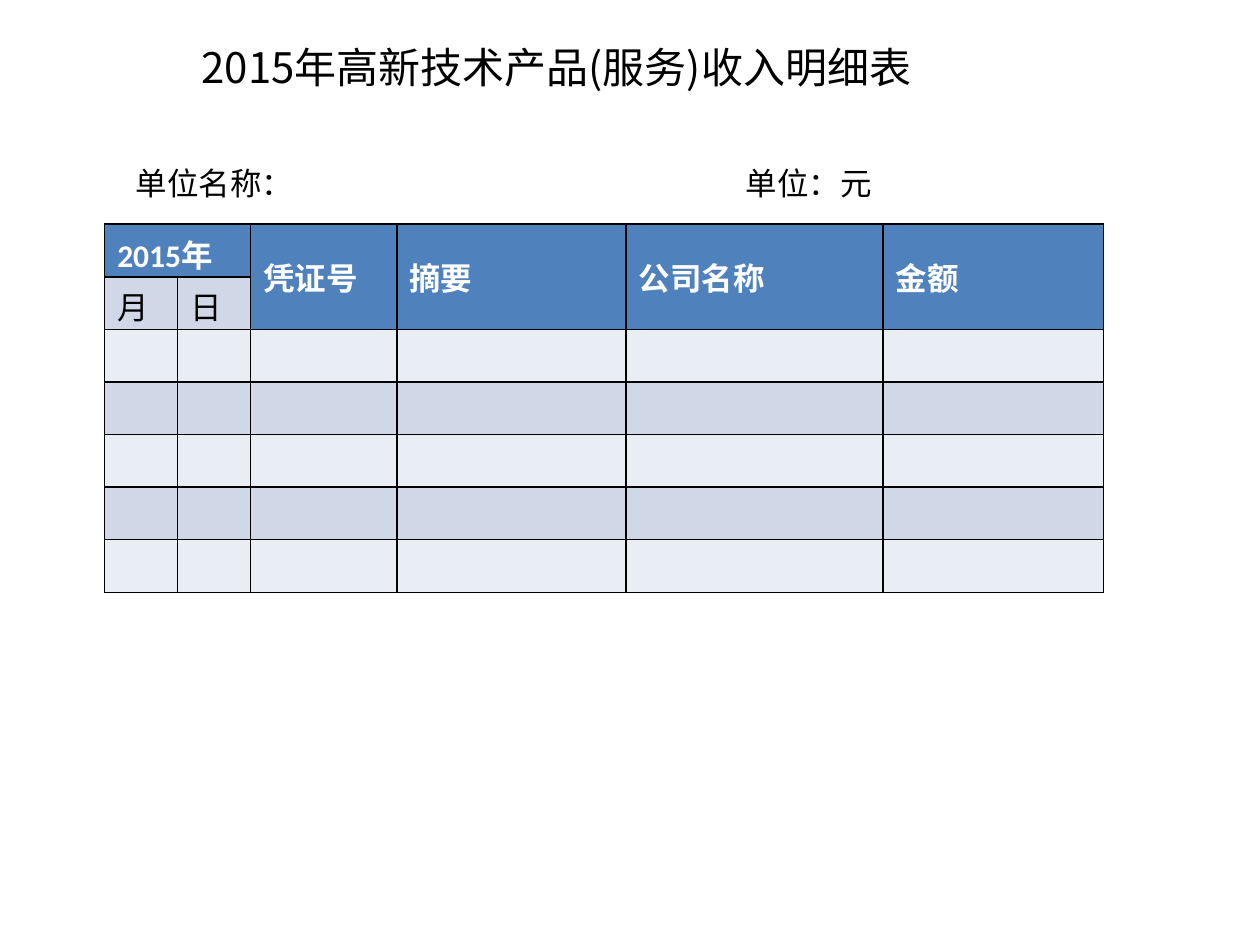
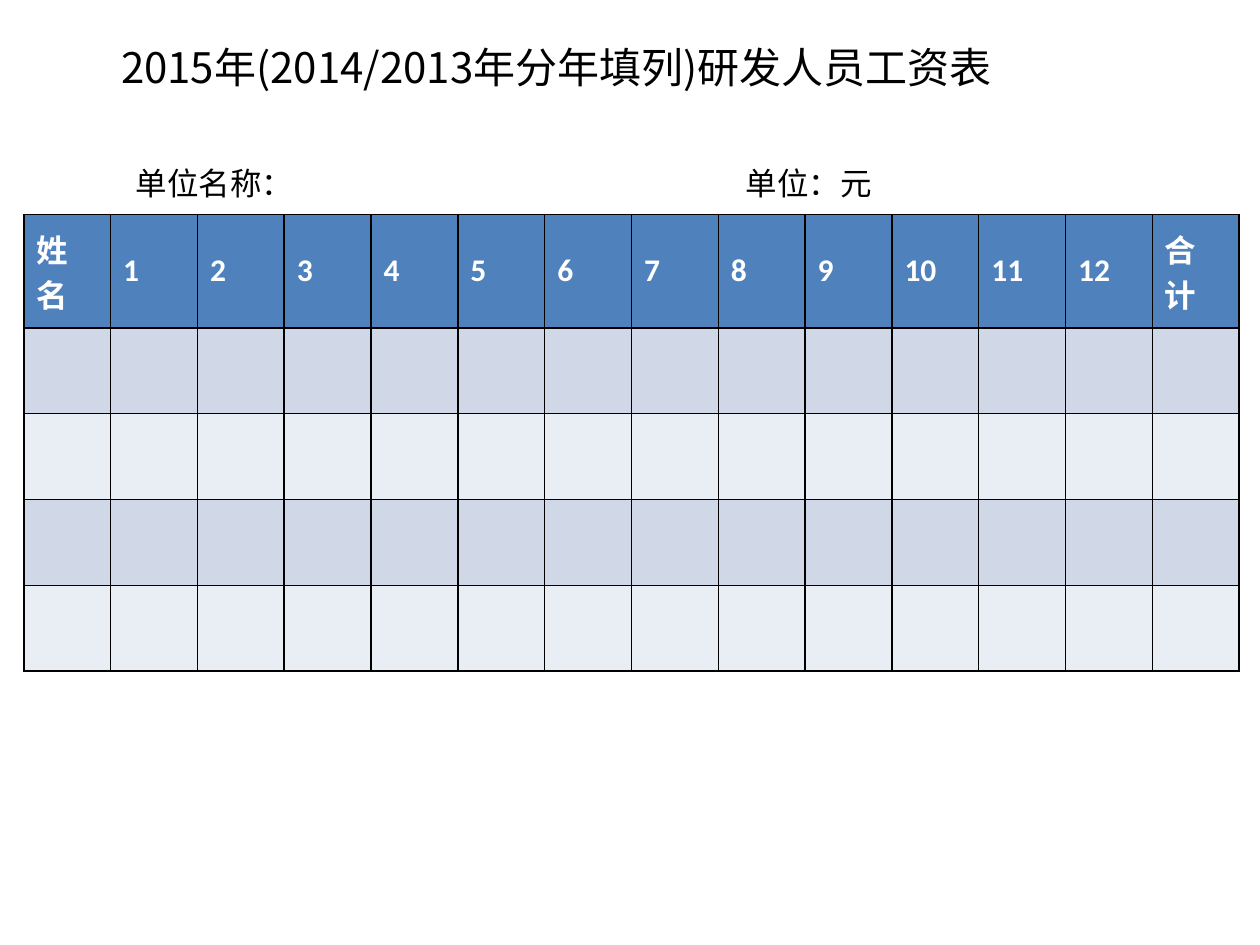
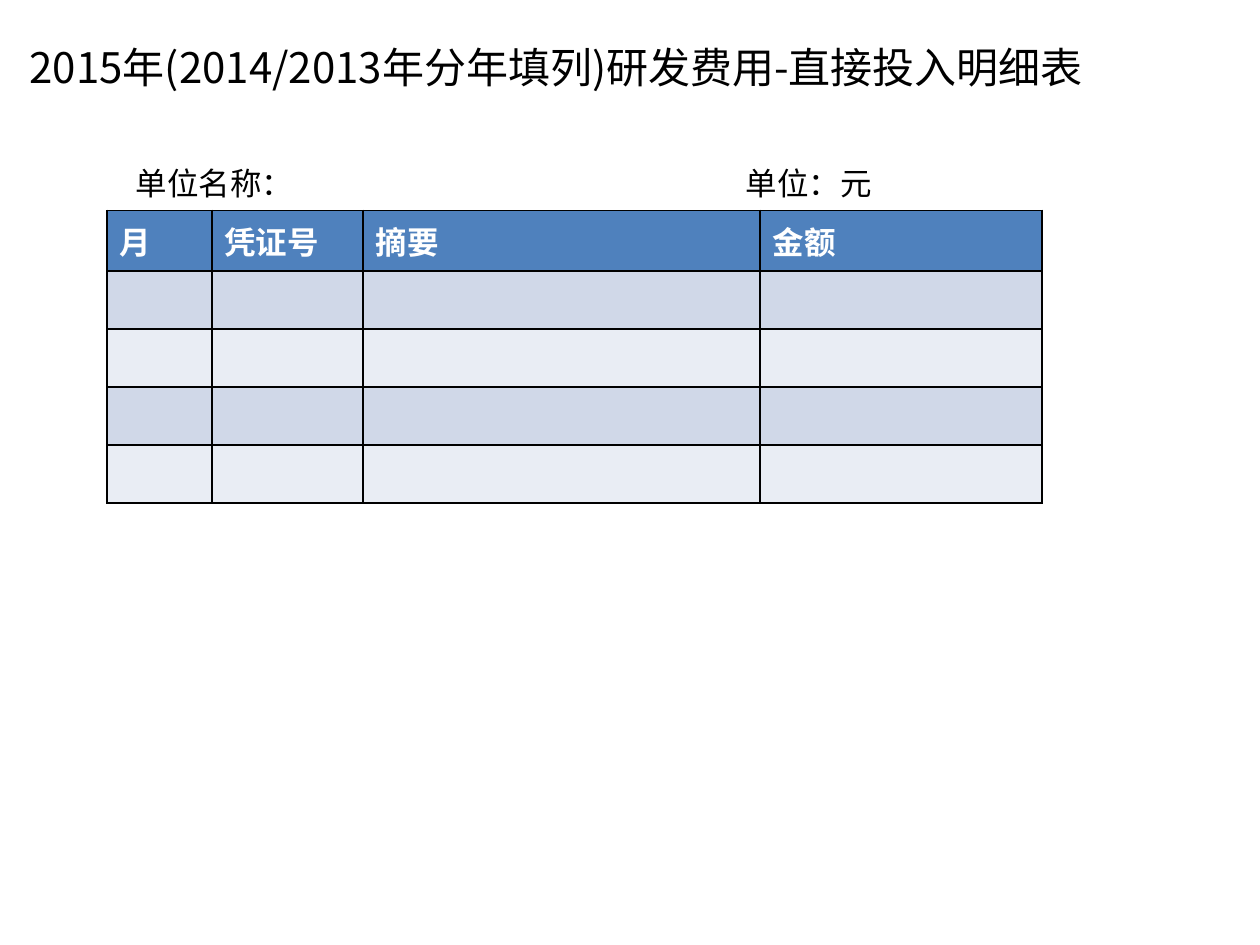
import pptx
import pptx.dml.color
import pptx.enum.text
import pptx.oxml
import pptx.oxml.ns
import pptx.util

Cm, Pt = pptx.util.Cm, pptx.util.Pt
PP_ALIGN = pptx.enum.text.PP_ALIGN
MSO_ANCHOR = pptx.enum.text.MSO_ANCHOR
MSO_AUTO_SIZE = pptx.enum.text.MSO_AUTO_SIZE

BLACK, WHITE = "000000", "FFFFFF"
HEADER, BAND_DARK, BAND_LIGHT = "4F81BD", "D0D8E8", "E9EDF4"

TITLE_FONT = {"name": "Noto Sans CJK SC", "size": Pt(24), "bold": False}
CAPTION_FONT = {"name": "Arial", "size": Pt(18)}
HEAD_FONT = {"name": "Calibri", "size": Pt(18), "bold": True}
BODY_FONT = {"name": "Calibri", "size": Pt(18), "bold": False}
FRAME = {"word_wrap": True, "auto_size": MSO_AUTO_SIZE.SHAPE_TO_FIT_TEXT,
         "vertical_anchor": MSO_ANCHOR.TOP}


def rgb(value):
    """Turn a hex string into a colour."""
    return pptx.dml.color.RGBColor.from_string(value)


def apply(obj, values):
    """Set every attribute named in a dict of format values."""
    for name, value in values.items():
        setattr(obj, name, value)


def element(tag, attributes, content):
    """Make an element of the drawing namespace."""
    ns = pptx.oxml.ns.nsdecls("a")
    return pptx.oxml.parse_xml(f"<a:{tag} {ns} {attributes}>{content}</a:{tag}>")


class Deck:
    """Holds the presentation style and the current slide."""

    def __init__(self):
        """Start an empty presentation of 10 by 7.5 inches."""
        self.prs = pptx.Presentation()
        apply(self.prs, {"slide_width": Cm(25.4), "slide_height": Cm(19.05)})

    def slide(self, title, title_height):
        """Add a slide with its title and the caption line."""
        self.s = self.prs.slides.add_slide(self.prs.slide_layouts[5])
        sp = self.s.shapes.title
        apply(sp, {"left": Cm(0.1), "top": Cm(0.71),
                   "width": Cm(22.23), "height": Cm(title_height)})
        apply(sp.text_frame, FRAME)
        self.text(sp.text_frame, title, TITLE_FONT).alignment = PP_ALIGN.CENTER
        self.caption("单位名称：", "单位：元")

    def text(self, tf, words, font, color=BLACK):
        """Put one formatted run in the first paragraph and return that."""
        p = tf.paragraphs[0]
        r = p.add_run()
        r.text = words
        apply(r.font, font)
        r.font.color.rgb = rgb(color)
        return p

    def caption(self, left_words, right_words):
        """Add the line above the table, its second part at a tab stop."""
        sp = self.s.shapes.add_textbox(Cm(2.49), Cm(3.18), Cm(19.2), Cm(1.02))
        apply(sp.text_frame, FRAME)
        p = self.text(sp.text_frame, f"{left_words}\t{right_words}", CAPTION_FONT)
        tab = f'<a:tab pos="{Cm(12.29)}" algn="l"/>'
        p._p.get_or_add_pPr().append(element("tabLst", "", tab))

    def style_cell(self, cell, fill):
        """Give a cell thin black borders and a fill."""
        line = f'<a:solidFill><a:srgbClr val="{BLACK}"/></a:solidFill>'
        tcPr = cell._tc.get_or_add_tcPr()
        for side in "LRTB":
            tcPr.append(element(f"ln{side}", f'w="{Pt(1)}"', line))
        cell.vertical_anchor = MSO_ANCHOR.MIDDLE
        cell.fill.solid()
        cell.fill.fore_color.rgb = rgb(fill)

    def label(self, cell, words, font, color):
        """Fill in a cell label with a fifth of a line before it."""
        p = self.text(cell.text_frame, words, font, color)
        space = element("spcBef", "", '<a:spcPct val="20000"/>')
        p._p.get_or_add_pPr().insert(0, space)

    def table(self, left, top, widths, heights, heads):
        """Add a banded table with a header row; heads maps column to text."""
        frame = self.s.shapes.add_table(
            len(heights), len(widths), Cm(left), Cm(top),
            Cm(sum(widths)), Cm(sum(heights)))
        tbl = frame.table
        tbl.horz_banding = False
        for column, width in zip(tbl.columns, widths):
            column.width = Cm(width)
        for i, height in enumerate(heights):
            tbl.rows[i].height = Cm(height)
            band = BAND_DARK if i % 2 else BAND_LIGHT
            for j in range(len(widths)):
                self.style_cell(tbl.cell(i, j), band if i else HEADER)
        for j, words in heads.items():
            self.label(tbl.cell(0, j), words, HEAD_FONT, WHITE)
        return tbl


deck = Deck()

deck.slide("2015年高新技术产品(服务)收入明细表", 2.03)
income = deck.table(
    2.11, 4.52, [1.47, 1.47, 2.95, 4.62, 5.18, 4.45], [1.06] * 7,
    {0: "2015年", 2: "凭证号", 3: "摘要", 4: "公司名称", 5: "金额"})
income.cell(0, 0).merge(income.cell(0, 1))
for col in range(2, 6):
    income.cell(0, col).merge(income.cell(1, col))
for col, words in enumerate("月日"):
    deck.label(income.cell(1, col), words, BODY_FONT, BLACK)

deck.slide("2015年(2014/2013年分年填列)研发人员工资表", 1.27)
months = [str(month) for month in range(1, 13)]
deck.table(0.48, 4.32, [1.75] * 14, [2.29] + [1.73] * 4,
           dict(enumerate(["姓名", *months, "合计"])))

deck.slide("2015年(2014/2013年分年填列)研发费用-直接投入明细表", 2.03)
deck.table(2.16, 4.24, [2.11, 3.05, 8, 5.69], [1.22] + [1.17] * 4,
           dict(enumerate(["月", "凭证号", "摘要", "金额"])))

deck.prs.save("out.pptx")
